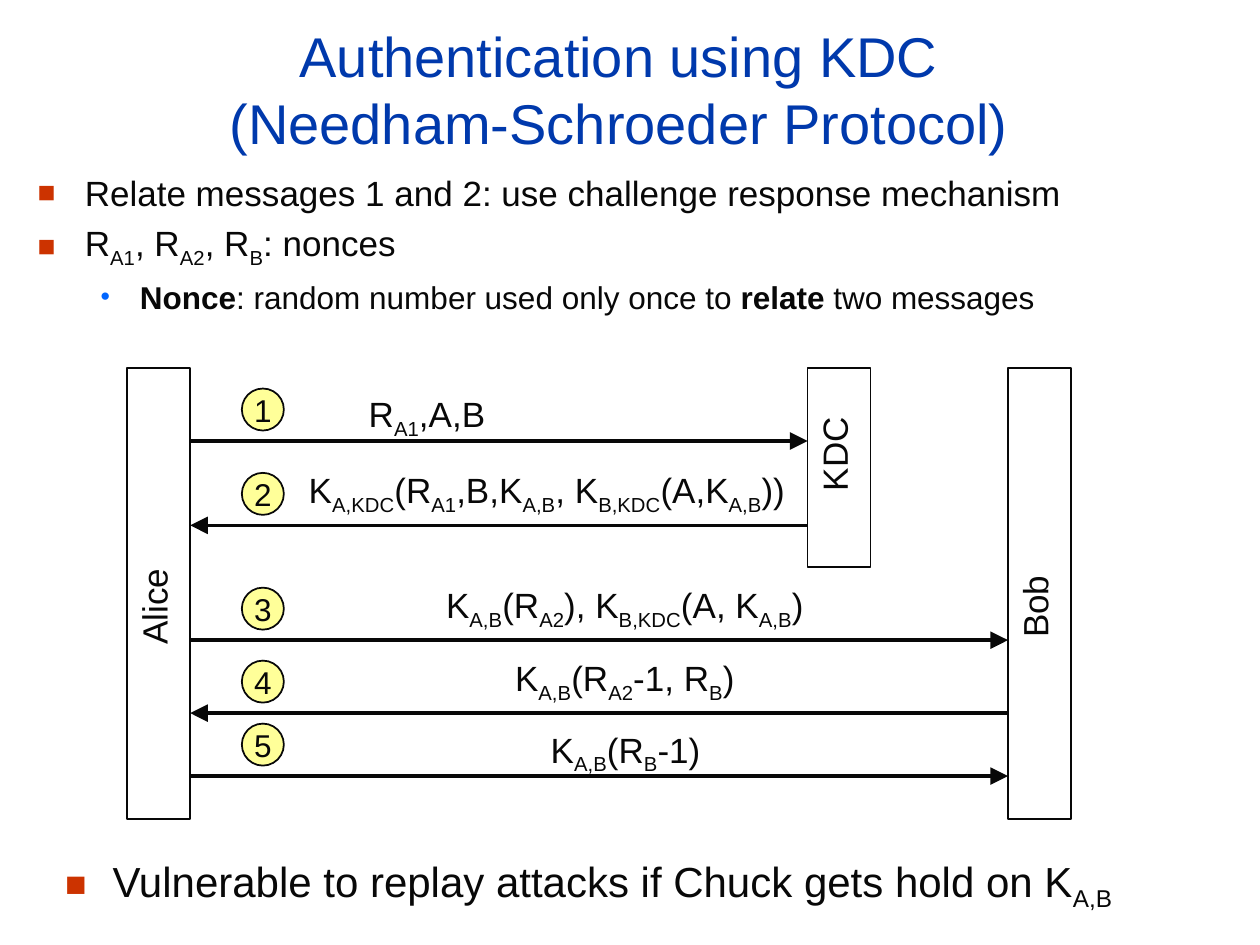
from lxml import etree
from pptx import Presentation
from pptx.dml.color import RGBColor
from pptx.enum.shapes import MSO_CONNECTOR, MSO_SHAPE
from pptx.enum.text import MSO_ANCHOR, PP_ALIGN
from pptx.oxml.ns import qn
from pptx.util import Pt

INK = RGBColor(0x08, 0x08, 0x08)
TITLE_BLUE = RGBColor(0x00, 0x39, 0xAC)
BULLET_RED = RGBColor(0xCC, 0x33, 0x00)
BULLET_BLUE = RGBColor(0x00, 0x66, 0xFF)
BADGE_YELLOW = RGBColor(0xFF, 0xFF, 0x99)
FONT = "Arial"
STRAIGHT = MSO_CONNECTOR.STRAIGHT
RECTANGLE, OVAL = MSO_SHAPE.RECTANGLE, MSO_SHAPE.OVAL
TOP, MIDDLE = MSO_ANCHOR.TOP, MSO_ANCHOR.MIDDLE
LEFT, CENTER = PP_ALIGN.LEFT, PP_ALIGN.CENTER

LANE_TOP, LANE_WIDTH = 210.3, 36
ALICE, KDC, BOB = 72.7, 461.5, 576
LANES = [
    ("Alice", ALICE, 257.8, 346.7),
    ("KDC", KDC, 113.8, 259.6),
    ("Bob", BOB, 257.8, 346.7),
]
ALICE_EDGE = ALICE + LANE_WIDTH
MESSAGES = [
    ("R{A1},A,B", ALICE_EDGE, KDC, 252, 244, 81, 31),
    ("K{A,KDC}(R{A1},B,K{A,B}, K{B,KDC}(A,K{A,B}))", KDC, ALICE_EDGE, 300.2, 312.5, 288, 36),
    ("K{A,B}(R{A2}), K{B,KDC}(A, K{A,B})", ALICE_EDGE, BOB, 365.8, 357, 219, 36),
    ("K{A,B}(R{A2}-1, R{B})", BOB, ALICE_EDGE, 407.5, 357, 140, 36),
    ("K{A,B}(R{B}-1)", ALICE_EDGE, BOB, 443.5, 357.5, 100, 31),
]
SQUARE = dict(symbol="■", color=BULLET_RED, margin=27, indent=-27)
DOT = dict(symbol="•", color=BULLET_BLUE, margin=58.5, indent=-22.5)


def add_bullet(paragraph, symbol, color, margin, indent):
    properties = paragraph._p.get_or_add_pPr()
    properties.set("marL", str(Pt(margin)))
    properties.set("indent", str(Pt(indent)))
    bullet_color = etree.SubElement(properties, qn("a:buClr"))
    etree.SubElement(bullet_color, qn("a:srgbClr"), val=str(color))
    etree.SubElement(properties, qn("a:buSzPct"), val="85000")
    etree.SubElement(properties, qn("a:buFont"), typeface=FONT)
    etree.SubElement(properties, qn("a:buChar"), char=symbol)


def write_text(paragraph, text, size=20, color=INK, align=LEFT, space_before=0, bullet=None):
    """Text in {braces} is subscript and text in *stars* is bold."""
    paragraph.alignment = align
    paragraph.space_before = Pt(space_before)
    if bullet:
        add_bullet(paragraph, **bullet)
    for bold_index, stretch in enumerate(text.split("*")):
        for index, part in enumerate(stretch.replace("}", "{").split("{")):
            if not part:
                continue
            run = paragraph.add_run()
            run.text = part
            run.font.name = FONT
            run.font.size = Pt(size)
            run.font.color.rgb = color
            run.font.bold = bold_index % 2 == 1
            if index % 2:
                run._r.get_or_add_rPr().set("baseline", "-25000")


def add_text_box(slide, box, wrap=True, anchor=TOP):
    shape = slide.shapes.add_textbox(*map(Pt, box))
    shape.text_frame.word_wrap = wrap
    shape.text_frame.vertical_anchor = anchor
    return shape


def add_outlined(slide, kind, box, fill=None):
    shape = slide.shapes.add_shape(kind, *map(Pt, box))
    shape.shadow.inherit = False
    if fill is None:
        shape.fill.background()
    else:
        shape.fill.solid()
        shape.fill.fore_color.rgb = fill
    shape.line.color.rgb = INK
    shape.line.width = Pt(1)
    return shape


def add_title(slide, box):
    frame = add_text_box(slide, box, anchor=MIDDLE).text_frame
    paragraph = frame.paragraphs[0]
    write_text(paragraph, "Authentication using KDC", 32, TITLE_BLUE, CENTER)
    paragraph.add_line_break()
    write_text(paragraph, "(Needham-Schroeder Protocol)", 32, TITLE_BLUE, CENTER)


def add_points(slide, box, points):
    frame = add_text_box(slide, box).text_frame
    for index, (text, size, bullet) in enumerate(points):
        paragraph = frame.add_paragraph() if index else frame.paragraphs[0]
        space = size / 4 if index else 0
        write_text(paragraph, text, size, space_before=space, bullet=bullet)


def add_lane(slide, name, left, height, label_middle):
    add_outlined(slide, RECTANGLE, (left, LANE_TOP, LANE_WIDTH, height))
    width, depth = 58, 31
    center = left + LANE_WIDTH / 2 - 3
    label_box = (center - width / 2, label_middle - depth / 2, width, depth)
    label = add_text_box(slide, label_box, wrap=False)
    label.rotation = 270
    write_text(label.text_frame.paragraphs[0], name, align=CENTER)


def add_arrow(slide, start, end, y):
    arrow = slide.shapes.add_connector(STRAIGHT, Pt(start), Pt(y), Pt(end), Pt(y))
    arrow.line.color.rgb = INK
    arrow.line.width = Pt(2)
    line = arrow.line._get_or_add_ln()
    etree.SubElement(line, qn("a:tailEnd"), type="triangle", w="lg", len="lg")
    etree.SubElement(arrow._element.spPr, qn("a:effectLst"))


def add_message(slide, number, text, start, end, y, center, width, rise):
    add_arrow(slide, start, end, y)
    badge = add_outlined(slide, OVAL, (138.2, y - 30, 24, 24), BADGE_YELLOW)
    badge.text_frame.word_wrap = False
    badge.text_frame.vertical_anchor = MIDDLE
    write_text(badge.text_frame.paragraphs[0], str(number), 18, align=CENTER)
    label = add_text_box(slide, (center - width / 2, y - rise, width, 34.6), wrap=False)
    write_text(label.text_frame.paragraphs[0], text, align=CENTER)


def main():
    presentation = Presentation()
    presentation.slide_width, presentation.slide_height = Pt(720), Pt(540)
    slide = presentation.slides.add_slide(presentation.slide_layouts[6])
    add_title(slide, (24, 18, 659.5, 65))
    add_points(slide, (14.4, 94.3, 705.6, 96.5), [
        ("Relate messages 1 and 2: use challenge response mechanism", 20, SQUARE),
        ("R{A1}, R{A2}, R{B}: nonces", 20, SQUARE),
        ("*Nonce*: random number used only once to *relate* two messages", 18, DOT),
    ])
    for lane in LANES:
        add_lane(slide, *lane)
    for number, message in enumerate(MESSAGES, 1):
        add_message(slide, number, *message)
    add_points(slide, (30.2, 485.3, 671, 54), [
        ("Vulnerable to replay attacks if Chuck gets hold on K{A,B}", 24, SQUARE),
    ])
    presentation.save("out.pptx")


if __name__ == "__main__":
    main()
